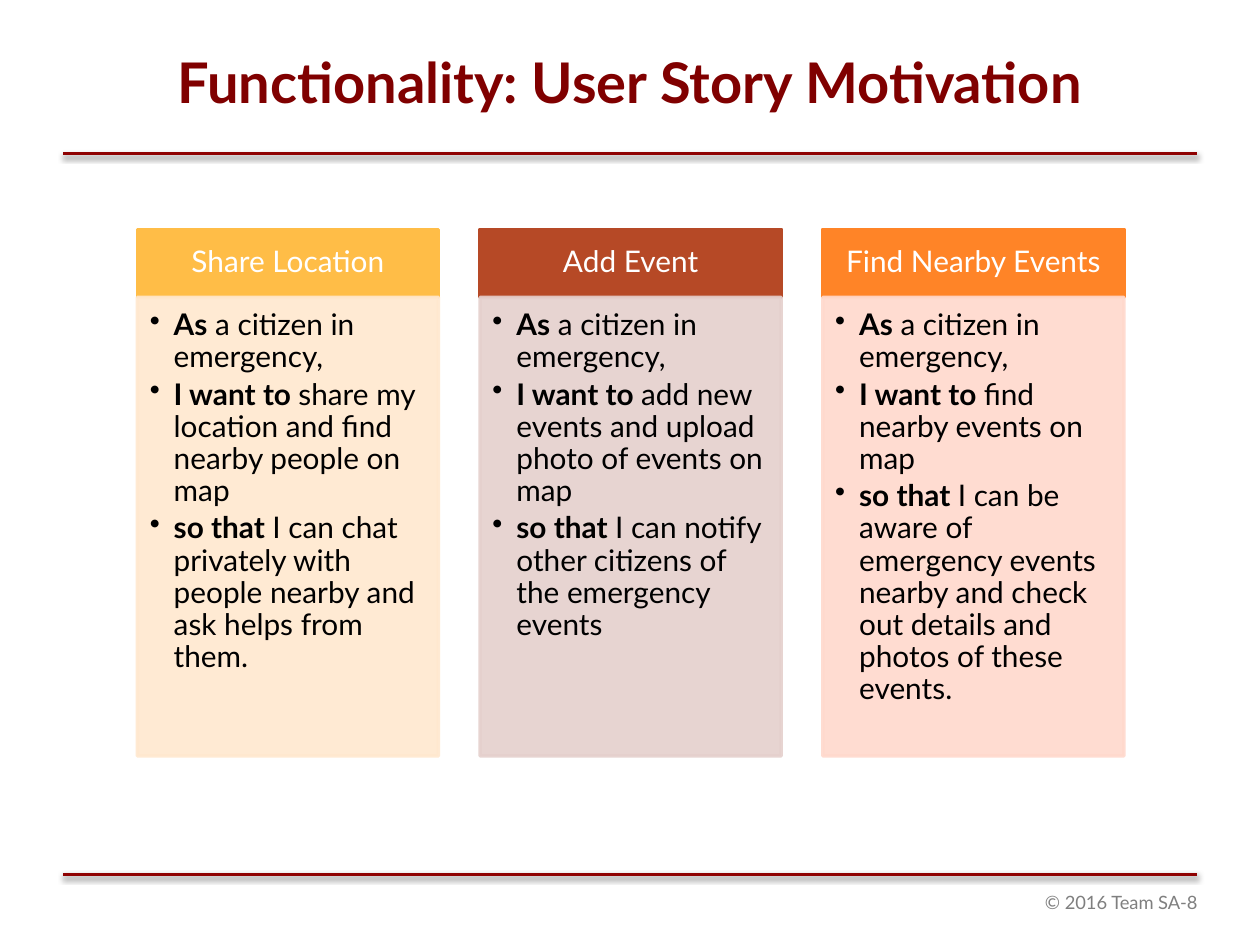
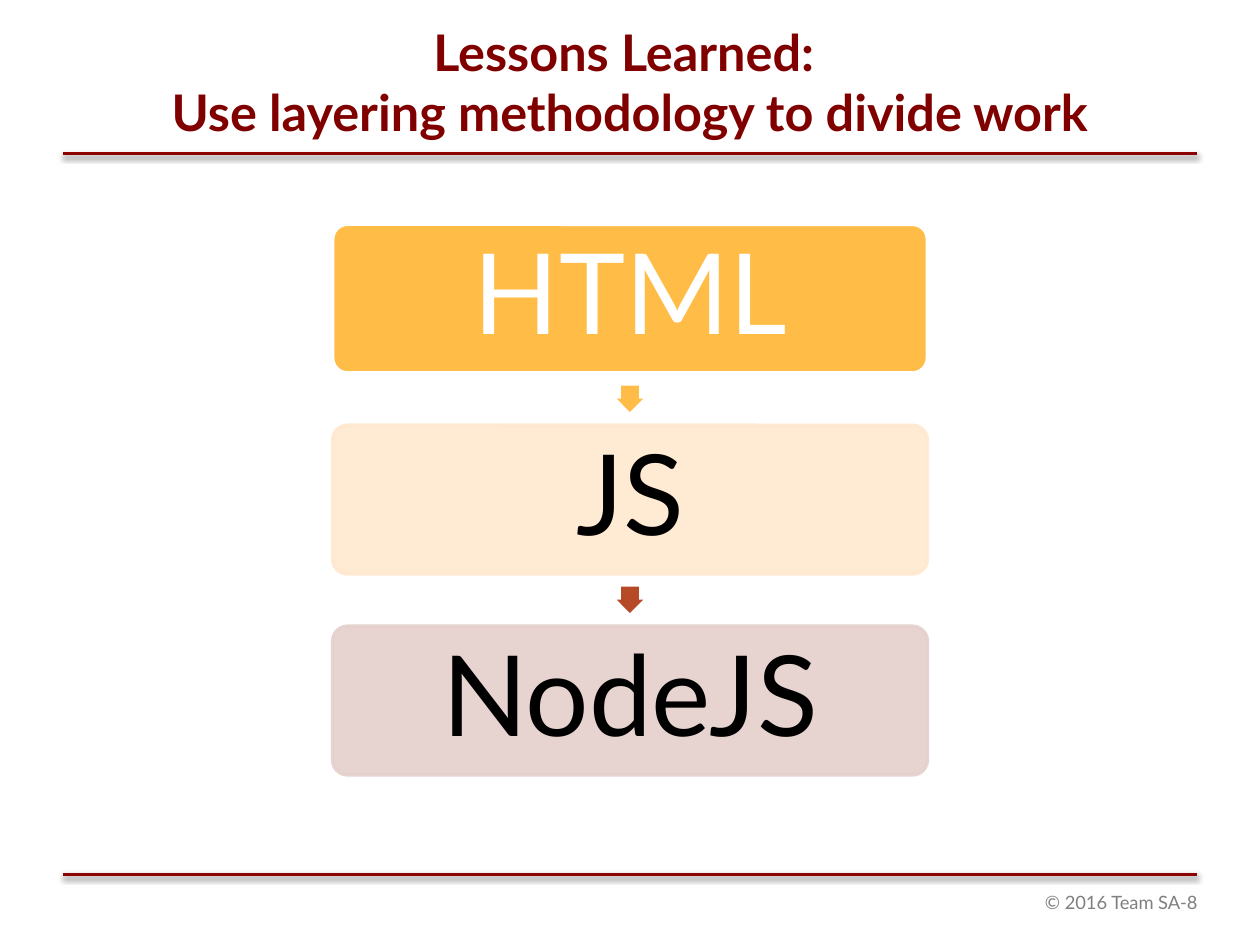
from dataclasses import dataclass

from lxml.etree import SubElement
from pptx import Presentation
from pptx.dml.color import RGBColor
from pptx.enum.shapes import MSO_CONNECTOR, MSO_SHAPE
from pptx.enum.text import MSO_ANCHOR, PP_ALIGN
from pptx.oxml.ns import qn
from pptx.util import Inches, Pt


@dataclass(frozen=True)
class Theme:
    font: str = "Lato"
    title: str = "800000"
    rule: str = "8E0101"
    footer: str = "7F7F7F"
    white: str = "FFFFFF"
    black: str = "000000"
    amber: str = "FFBD47"
    rust: str = "B64926"
    orange: str = "FF8427"
    pale_amber: str = "FFE8CF"
    pale_rust: str = "E5D0CD"
    pale_orange: str = "FFD9CD"
    title_size: float = 32
    long_title_size: float = 28.8
    story_size: float = 17
    layer_size: float = 64
    footer_size: float = 10.5
    line_width: float = 2
    pale_alpha: int = 90


@dataclass(frozen=True)
class Box:
    left: float
    top: float
    width: float
    height: float

    def lengths(self):
        return [Inches(value) for value in (self.left, self.top, self.width, self.height)]


THEME = Theme()
TITLE_BOX = Box(0.5, 0.08, 9, 1.13)
FOOTER_BOX = Box(7.9, 7.02, 2, 0.29)
STORIES_BOX = Box(1.09, 1.82, 7.83, 4.18)
LAYERS_BOX = Box(2.64, 1.78, 4.72, 4.37)

STORIES = [
    ("Share Location", THEME.amber, THEME.pale_amber,
     "share my location and find nearby people on map",
     "I can chat privately with people nearby and ask helps from them."),
    ("Add Event", THEME.rust, THEME.pale_rust,
     "add new events and upload photo of events on map",
     "I can notify other citizens of the emergency events"),
    ("Find Nearby Events", THEME.orange, THEME.pale_orange,
     "find nearby events on map",
     "I can be aware of emergency events nearby and check out details "
     "and photos of these events."),
]
LAYERS = [
    ("HTML", THEME.amber, THEME.white, THEME.white, 100),
    ("JS", THEME.pale_amber, THEME.pale_amber, THEME.black, THEME.pale_alpha),
    ("NodeJS", THEME.pale_rust, THEME.pale_rust, THEME.black, THEME.pale_alpha),
]
ARROW_COLORS = [THEME.amber, THEME.rust]


def add_bullet(paragraph, indent):
    properties = paragraph._p.get_or_add_pPr()
    properties.set("marL", str(Inches(indent)))
    properties.set("indent", str(-Inches(indent)))
    SubElement(properties, qn("a:buChar")).set("char", "•")


def write_text(frame, paragraphs, size, color, bold=False, align=PP_ALIGN.CENTER,
               anchor=MSO_ANCHOR.MIDDLE, insets=(0.1, 0.05, 0.1, 0.05),
               spacing=1.0, after=0, bullet_indent=None):
    frame.word_wrap = True
    frame.vertical_anchor = anchor
    (frame.margin_left, frame.margin_top,
     frame.margin_right, frame.margin_bottom) = map(Inches, insets)
    for index, content in enumerate(paragraphs):
        paragraph = frame.add_paragraph() if index else frame.paragraphs[0]
        if bullet_indent:
            add_bullet(paragraph, bullet_indent)
        paragraph.alignment = align
        paragraph.line_spacing = spacing
        paragraph.space_after = Pt(after)
        runs = [(content, bold)] if isinstance(content, str) else content
        for text, is_bold in runs:
            for line_index, line in enumerate(text.split("\n")):
                if line_index:
                    paragraph.add_line_break()
                run = paragraph.add_run()
                run.text = line
                run.font.name = THEME.font
                run.font.size = Pt(size)
                run.font.bold = is_bold
                run.font.color.rgb = RGBColor.from_string(color)


def paint(fill, color, alpha=100):
    fill.solid()
    fill.fore_color.rgb = RGBColor.from_string(color)
    if alpha < 100:
        color_element = fill._xPr.find(qn("a:solidFill"))[0]
        SubElement(color_element, qn("a:alpha")).set("val", str(alpha * 1000))


def add_block(slide, kind, box, color, line_color=None, alpha=100):
    shape = slide.shapes.add_shape(kind, *box.lengths())
    shape.shadow.inherit = False
    paint(shape.fill, color, alpha)
    if line_color:
        shape.line.width = Pt(THEME.line_width)
        paint(shape.line.fill, line_color, alpha)
    else:
        shape.line.fill.background()
    return shape


def add_rule(slide, top):
    rule = slide.shapes.add_connector(
        MSO_CONNECTOR.STRAIGHT, Inches(0.5), Inches(top), Inches(9.5), Inches(top))
    rule.line.width = Pt(THEME.line_width)
    rule.line.color.rgb = RGBColor.from_string(THEME.rule)
    effects = SubElement(rule._element.spPr, qn("a:effectLst"))
    shadow = SubElement(effects, qn("a:outerShdw"), blurRad=str(Pt(3.1)),
                        dist=str(Pt(1.6)), dir="5400000", rotWithShape="0")
    shadow_color = SubElement(shadow, qn("a:srgbClr"), val=THEME.black)
    SubElement(shadow_color, qn("a:alpha"), val="38000")


def add_framed_slide(presentation, title, title_size):
    slide = presentation.slides.add_slide(presentation.slide_layouts[6])
    footer = slide.shapes.add_textbox(*FOOTER_BOX.lengths())
    write_text(footer.text_frame, ["© 2016 Team SA-8"], THEME.footer_size,
               THEME.footer, anchor=MSO_ANCHOR.TOP)
    for top in (1.22, 6.94):
        add_rule(slide, top)
    heading = slide.shapes.add_textbox(*TITLE_BOX.lengths())
    write_text(heading.text_frame, [title], title_size, THEME.title, bold=True)
    return slide


def add_story_column(slide, box, heading, color, pale_color, wish, reason):
    header_height = 0.54
    header_box = Box(box.left, box.top, box.width, header_height)
    header = add_block(slide, MSO_SHAPE.RECTANGLE, header_box, color, color)
    write_text(header.text_frame, [heading], THEME.story_size, THEME.white,
               insets=(0.13, 0.08, 0.13, 0.08), spacing=0.9)
    body_box = Box(box.left, box.top + header_height, box.width, box.height - header_height)
    body = add_block(slide, MSO_SHAPE.RECTANGLE, body_box, pale_color, pale_color,
                     THEME.pale_alpha)
    parts = [("As", " a citizen in emergency,"), ("I want to ", wish), ("so that ", reason)]
    write_text(body.text_frame, [[(lead, True), (rest, False)] for lead, rest in parts],
               THEME.story_size, THEME.black, align=PP_ALIGN.LEFT, anchor=MSO_ANCHOR.TOP,
               insets=(0.1, 0.1, 0.13, 0.15), spacing=0.9, after=3, bullet_indent=0.19)


def add_stories(slide, box):
    column_width = 2.39
    pitch = (box.width - column_width) / (len(STORIES) - 1)
    for index, story in enumerate(STORIES):
        column = Box(box.left + index * pitch, box.top, column_width, box.height)
        add_story_column(slide, column, *story)


def add_layers(slide, box):
    layer_height, arrow_size = 1.18, 0.21
    pitch = (box.height - layer_height) / (len(LAYERS) - 1)
    for index, (name, color, line_color, text_color, alpha) in enumerate(LAYERS):
        top = box.top + index * pitch
        layer = add_block(slide, MSO_SHAPE.ROUNDED_RECTANGLE,
                          Box(box.left, top, box.width, layer_height),
                          color, line_color, alpha)
        layer.adjustments[0] = 0.1
        write_text(layer.text_frame, [name], THEME.layer_size, text_color,
                   insets=(0.09, 0.09, 0.09, 0.09), spacing=0.9)
        if index < len(ARROW_COLORS):
            arrow_box = Box(box.left + (box.width - arrow_size) / 2,
                            top + layer_height + 0.1, arrow_size, arrow_size)
            arrow = add_block(slide, MSO_SHAPE.DOWN_ARROW, arrow_box, ARROW_COLORS[index])
            arrow.adjustments[0] = 0.67
            arrow.adjustments[1] = 0.5


def main():
    presentation = Presentation()
    presentation.slide_width = Inches(10)
    presentation.slide_height = Inches(7.5)
    stories_slide = add_framed_slide(
        presentation, "Functionality: User Story Motivation", THEME.title_size)
    add_stories(stories_slide, STORIES_BOX)
    layers_slide = add_framed_slide(
        presentation, "Lessons Learned: \nUse layering methodology to divide work",
        THEME.long_title_size)
    add_layers(layers_slide, LAYERS_BOX)
    presentation.save("out.pptx")


if __name__ == "__main__":
    main()
